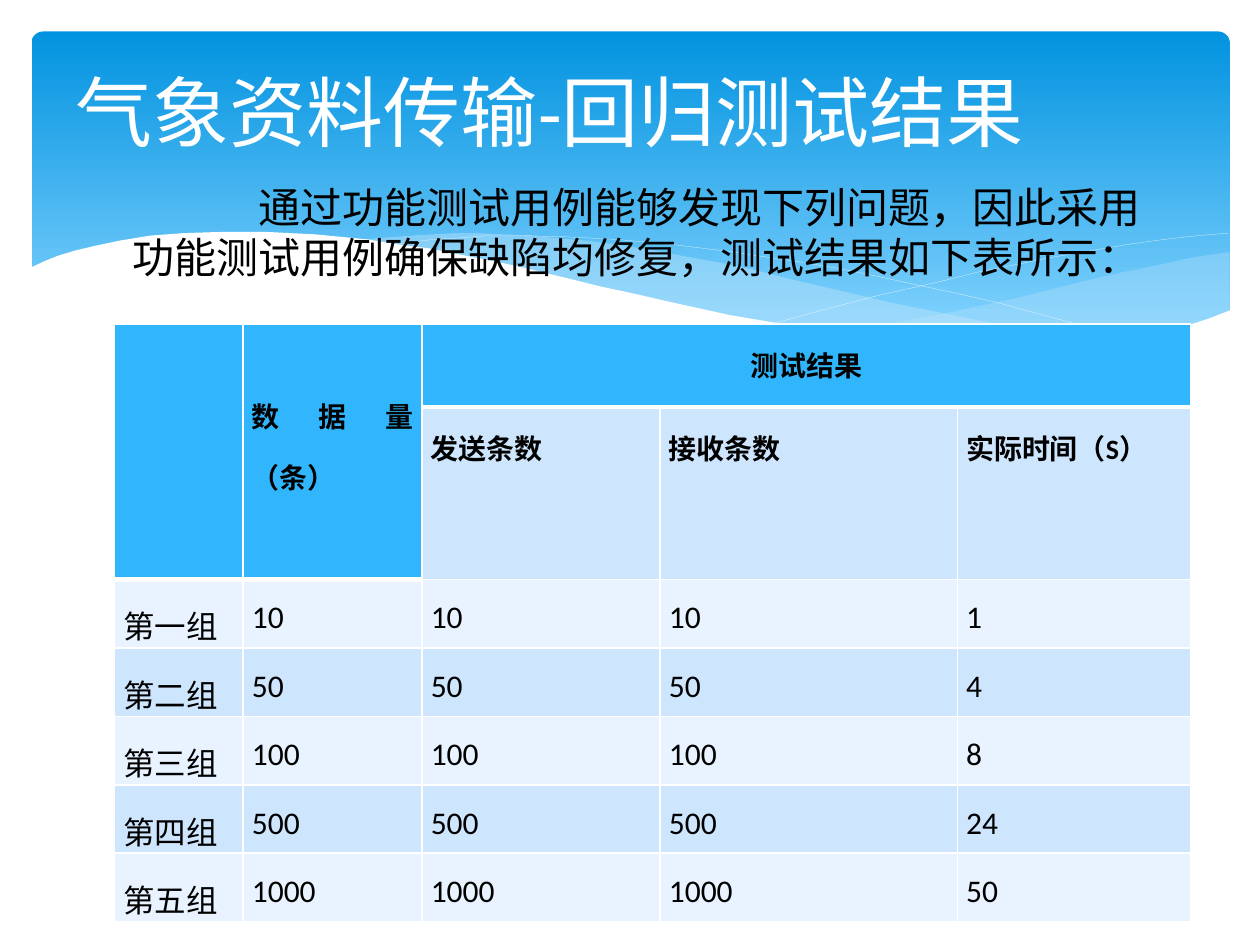
from pptx import Presentation
from pptx.util import Inches, Pt
from pptx.dml.color import RGBColor
from pptx.enum.shapes import MSO_SHAPE
from pptx.enum.text import PP_ALIGN, MSO_ANCHOR, MSO_AUTO_SIZE
from pptx.oxml.ns import qn
from lxml.etree import SubElement, Element


class Theme:
    font = "Calibri"
    white, black = "FFFFFF", "000000"
    top, low = "0293E0", "83D3FE"
    wave, head = "C6E7FC", "31B6FD"
    bands = ("E8F3FF", "CEE5FE")
    title, body, label, data = Pt(44), Pt(24), Pt(16), Pt(18)


def style(para, size, color, bold=False, align=PP_ALIGN.LEFT):
    para.alignment = align
    para.font.name, para.font.size, para.font.bold = Theme.font, size, bold
    para.font.color.rgb = RGBColor.from_string(color)


def curve(shapes, points, fill=None, alpha=100):
    """Draw points given in hundredths of an inch; no fill means a thin line."""
    build = shapes.build_freeform(*points[0], scale=Inches(0.01))
    build.add_line_segments(points[1:], close=fill is not None)
    shape = build.convert_to_shape()
    shape.shadow.inherit = False
    if fill is None:
        shape.fill.background()
        shape.line.color.rgb = RGBColor.from_string(Theme.white)
        shape.line.width = Pt(0.1)
        return
    shape.line.fill.background()
    shape.fill.solid()
    shape.fill.fore_color.rgb = RGBColor.from_string(fill)
    if alpha < 100:
        node = next(shape.element.spPr.iter(qn("a:srgbClr")))
        SubElement(node, qn("a:alpha"), val=str(alpha * 1000))


deck = Presentation()
deck.slide_width, deck.slide_height = Inches(10), Inches(7.5)
slide = deck.slides.add_slide(deck.slide_layouts[5])
shapes = slide.shapes

# Blue panel
panel = shapes.add_shape(MSO_SHAPE.ROUNDED_RECTANGLE, Inches(0.25), Inches(0.25),
                         Inches(9.51), Inches(2.7))
panel.adjustments[0] = 0.034
panel.shadow.inherit = False
panel.line.fill.background()
panel.fill.gradient()
panel.fill.gradient_angle = 270
for stop, color, place in zip(panel.fill.gradient_stops, (Theme.top, Theme.low), (0, 0.9)):
    stop.color.rgb = RGBColor.from_string(color)
    stop.position = place

# Waves
curve(shapes, [(976, 200), (948, 204), (921, 210), (891, 216), (861, 223), (805, 237),
               (753, 248), (706, 257), (661, 265), (691, 269), (719, 272), (745, 275),
               (769, 277), (803, 278), (835, 277), (863, 275), (889, 272), (913, 267),
               (935, 262), (949, 257), (963, 252), (976, 247)], Theme.wave, 29)
curve(shapes, [(893, 273), (866, 269), (837, 265), (807, 260), (775, 254), (741, 247),
               (706, 240), (668, 231), (629, 222), (598, 214), (569, 208), (541, 203),
               (514, 198), (489, 194), (465, 191), (442, 189), (420, 187), (399, 186),
               (380, 185), (361, 185), (328, 187), (299, 189), (286, 191), (323, 196),
               (362, 203), (404, 211), (449, 222), (491, 232), (530, 240), (566, 248),
               (601, 255), (634, 261), (665, 266), (695, 270), (722, 274), (748, 276),
               (773, 277), (796, 278), (828, 278), (857, 277), (876, 275)], Theme.wave, 40)
curve(shapes, [(309, 195), (328, 192), (344, 190), (363, 189), (387, 187), (416, 187),
               (450, 188), (489, 190), (533, 194), (582, 200), (608, 204), (636, 208),
               (665, 213), (695, 219), (727, 226), (760, 233), (795, 241), (831, 251),
               (869, 261), (907, 272)])
curve(shapes, [(613, 257), (653, 246), (695, 235), (748, 223), (776, 216), (806, 210),
               (836, 204), (866, 199), (895, 194), (924, 190), (951, 187), (975, 185)])
curve(shapes, [(977, 246), (959, 253), (940, 259), (920, 265), (899, 269), (875, 273),
               (850, 275), (823, 277), (809, 277), (778, 276), (744, 274), (708, 270),
               (668, 265), (626, 258), (579, 250), (529, 239), (503, 233), (475, 227),
               (447, 220), (418, 213), (391, 207), (365, 202), (340, 197), (316, 194),
               (292, 190), (271, 188), (250, 186), (230, 185), (211, 184), (177, 184),
               (146, 185), (119, 187), (95, 191), (76, 195), (59, 199), (46, 203),
               (36, 207), (23, 213), (23, 329), (977, 329)], Theme.white)

# Title, brought in front of the panel
title = shapes.title
shapes.element.append(title.element)
title.left, title.top = Inches(0.5), Inches(0.37)
title.width, title.height = Inches(9), Inches(1.02)
title.text_frame.text = "气象资料传输-回归测试结果"
title.text_frame.auto_size = MSO_AUTO_SIZE.NONE
title.text_frame.vertical_anchor = MSO_ANCHOR.MIDDLE
style(title.text_frame.paragraphs[0], Theme.title, Theme.white)

# Result table
rows = [["", "数据量（条）", "测试结果", "", ""],
        ["", "", "发送条数", "接收条数", "实际时间（S）"]]
for name, count, time in (("第一组", 10, 1), ("第二组", 50, 4), ("第三组", 100, 8),
                          ("第四组", 500, 24), ("第五组", 1000, 50)):
    rows.append([name, count, count, count, time])
wides = (1.02, 1.42, 1.89, 2.36, 1.85)
highs = (0.66, 1.36) + (0.54,) * 5
table = shapes.add_table(len(rows), len(wides), Inches(0.91), Inches(2.57),
                         Inches(sum(wides)), Inches(sum(highs))).table
table.first_row = table.horz_banding = False
for col, wide in zip(table.columns, wides):
    col.width = Inches(wide)
for row, high in zip(table.rows, highs):
    row.height = Inches(high)

for i, row in enumerate(rows):
    for j, text in enumerate(row):
        cell = table.cell(i, j)
        top = i == 0 or (i == 1 and j < 2)
        cell.margin_left = cell.margin_right = Inches(0.07)
        cell.margin_top = cell.margin_bottom = 0
        cell.fill.solid()
        cell.fill.fore_color.rgb = RGBColor.from_string(Theme.head if top else Theme.bands[i % 2])
        cell.text = str(text)
        para = cell.text_frame.paragraphs[0]
        para.line_spacing = 1.5
        style(para, Theme.label if i < 2 else Theme.data, Theme.black, i < 2,
              PP_ALIGN.CENTER if (i, j) == (0, 2) else PP_ALIGN.JUSTIFY)
        # White borders, thick under the header
        for k, side in enumerate(("lnL", "lnR", "lnT", "lnB")):
            width = Pt(3 if top and side == "lnB" else 1)
            line = Element(qn("a:" + side), w=str(width))
            SubElement(SubElement(line, qn("a:solidFill")), qn("a:srgbClr"), val=Theme.white)
            cell._tc.get_or_add_tcPr().insert(k, line)
table.cell(0, 1).margin_top = Inches(0.41)
for j in (0, 1):
    table.cell(0, j).merge(table.cell(1, j))
table.cell(0, 2).merge(table.cell(0, 4))

# Introduction, its first line set in by a tab stop
intro = shapes.add_textbox(Inches(0.95), Inches(1.39), Inches(8.46), Inches(1.06)).text_frame
intro.word_wrap = True
intro.text = "\t通过功能测试用例能够发现下列问题，因此采用功能测试用例确保缺陷均修复，测试结果如下表所示："
para = intro.paragraphs[0]
style(para, Theme.body, Theme.black)
tabs = Element(qn("a:tabLst"))
SubElement(tabs, qn("a:tab"), pos=str(Inches(1)), algn="l")
para._p.get_or_add_pPr().insert(0, tabs)

deck.save("out.pptx")
